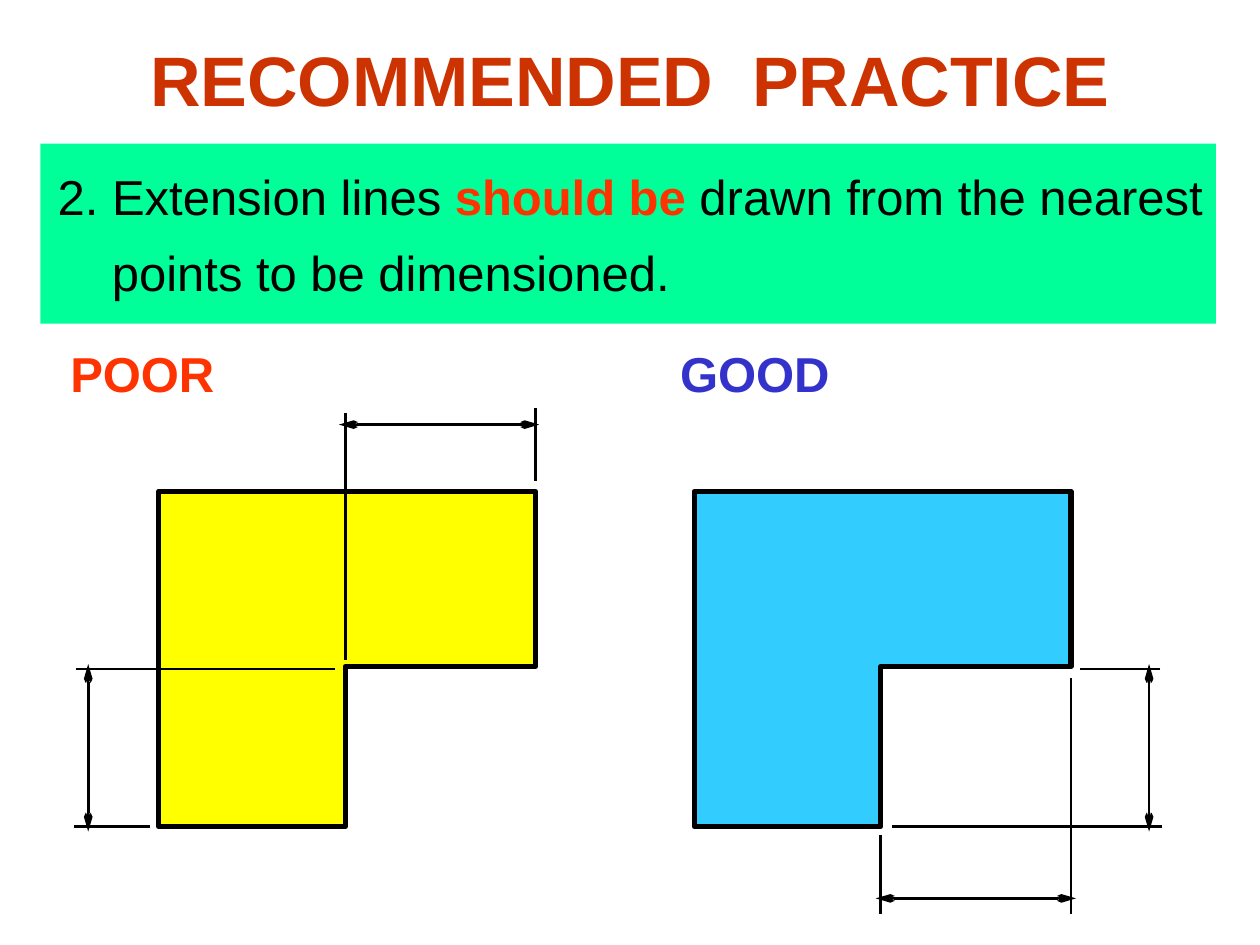
from lxml.etree import SubElement
from pptx import Presentation
from pptx.dml.color import RGBColor
from pptx.enum.shapes import MSO_CONNECTOR, MSO_SHAPE
from pptx.enum.text import MSO_ANCHOR, PP_ALIGN
from pptx.oxml.ns import qn
from pptx.util import Inches, Pt

COLORS = {
    "title": "CC3300", "band": "00FF99", "black": "000000", "red": "FF3300",
    "blue": "3333CC", "yellow": "FFFF00", "sky": "33CCFF",
}

# Content
TITLE = "RECOMMENDED  PRACTICE"
RULE = [
    ("2. Extension lines ", "black", False),
    ("should be ", "red", True),
    ("drawn from the nearest\vpoints to be dimensioned.", "black", False),
]
# Corners of the L-shaped part, measured from its top left corner
PART = [(0, 0), (2.99, 0), (2.99, 1.39), (1.48, 1.39), (1.48, 2.66), (0, 2.66)]
PART_TOP = 3.9
EXAMPLES = [
    {
        "label": "POOR", "label_left": 0.46, "label_color": "red",
        "part_left": 1.26, "fill": "yellow",
        "extensions": [(0.6, 5.31, 2.66, 5.31), (1.19, 6.56, 0.59, 6.56),
                       (2.74, 3.28, 2.74, 5.24), (4.25, 3.24, 4.25, 3.82)],
        "dimensions": [(0.7, 5.27, 0.7, 6.6), (2.69, 3.37, 4.28, 3.37)],
    },
    {
        "label": "GOOD", "label_left": 5.3, "label_color": "blue",
        "part_left": 5.51, "fill": "sky",
        "extensions": [(9.21, 5.31, 8.57, 5.31), (9.22, 6.56, 7.08, 6.56),
                       (6.99, 7.25, 6.99, 6.63), (8.5, 5.38, 8.5, 7.25)],
        "dimensions": [(9.12, 5.27, 9.12, 6.6), (6.95, 7.13, 8.54, 7.13)],
    },
]


def color(name):
    return RGBColor.from_string(COLORS[name])


def add_span(paragraph, text, size=28, fill="black", bold=False):
    for index, piece in enumerate(text.split("\v")):
        if index:
            paragraph.add_line_break()
        span = paragraph.add_run()
        span.text = piece
        span.font.name = "Arial"
        span.font.size = Pt(size)
        span.font.bold = bold
        span.font.color.rgb = color(fill)


def add_line(page, ends, arrows=False):
    line = page.shapes.add_connector(
        MSO_CONNECTOR.STRAIGHT, *[Inches(value) for value in ends])
    line.line.color.rgb = color("black")
    line.line.width = Pt(1.5)
    properties = line._element.spPr
    if arrows:
        outline = properties.find(qn("a:ln"))
        for end in ("a:headEnd", "a:tailEnd"):
            SubElement(outline, qn(end), type="arrow", w="sm", len="lg")
    SubElement(properties, qn("a:effectLst"))


def add_part(page, left, fill):
    corners = [(Inches(left + x), Inches(PART_TOP + y)) for x, y in PART]
    builder = page.shapes.build_freeform(*corners[0])
    builder.add_line_segments(corners[1:], close=True)
    part = builder.convert_to_shape()
    part.shadow.inherit = False
    part.fill.solid()
    part.fill.fore_color.rgb = color(fill)
    part.line.color.rgb = color("black")
    part.line.width = Pt(3)


def main():
    deck = Presentation()
    deck.slide_width, deck.slide_height = Inches(10), Inches(7.5)
    page = deck.slides.add_slide(deck.slide_layouts[5])

    # Title
    title = page.shapes.title
    title.left, title.top = Inches(0.75), Inches(0)
    title.width, title.height = Inches(8.5), Inches(1.25)
    title.text_frame.vertical_anchor = MSO_ANCHOR.MIDDLE
    heading = title.text_frame.paragraphs[0]
    heading.alignment = PP_ALIGN.CENTER
    add_span(heading, TITLE, size=40, fill="title", bold=True)

    # Rule on a green band
    band = page.shapes.add_shape(
        MSO_SHAPE.RECTANGLE, Inches(0.32), Inches(1.14), Inches(9.33), Inches(1.43))
    band.shadow.inherit = False
    band.fill.solid()
    band.fill.fore_color.rgb = color("band")
    band.line.fill.background()
    box = page.shapes.add_textbox(
        Inches(0.36), Inches(1.13), Inches(9.28), Inches(1.32))
    box.text_frame.word_wrap = True
    box.text_frame.margin_right = 0
    rule = box.text_frame.paragraphs[0]
    rule.line_spacing = 1.3
    hanging = rule._p.get_or_add_pPr()
    hanging.set("marL", str(Inches(0.43)))
    hanging.set("indent", str(-Inches(0.43)))
    for text, fill, bold in RULE:
        add_span(rule, text, fill=fill, bold=bold)

    # Poor and good examples
    for example in EXAMPLES:
        add_part(page, example["part_left"], example["fill"])
        for ends in example["extensions"]:
            add_line(page, ends)
        for ends in example["dimensions"]:
            add_line(page, ends, arrows=True)
        label = page.shapes.add_textbox(
            Inches(example["label_left"]), Inches(2.68), Inches(1.5), Inches(0.57))
        label.text_frame.word_wrap = True
        label.text_frame.margin_right = 0
        add_span(label.text_frame.paragraphs[0], example["label"],
                 fill=example["label_color"], bold=True)

    deck.save("out.pptx")


if __name__ == "__main__":
    main()
